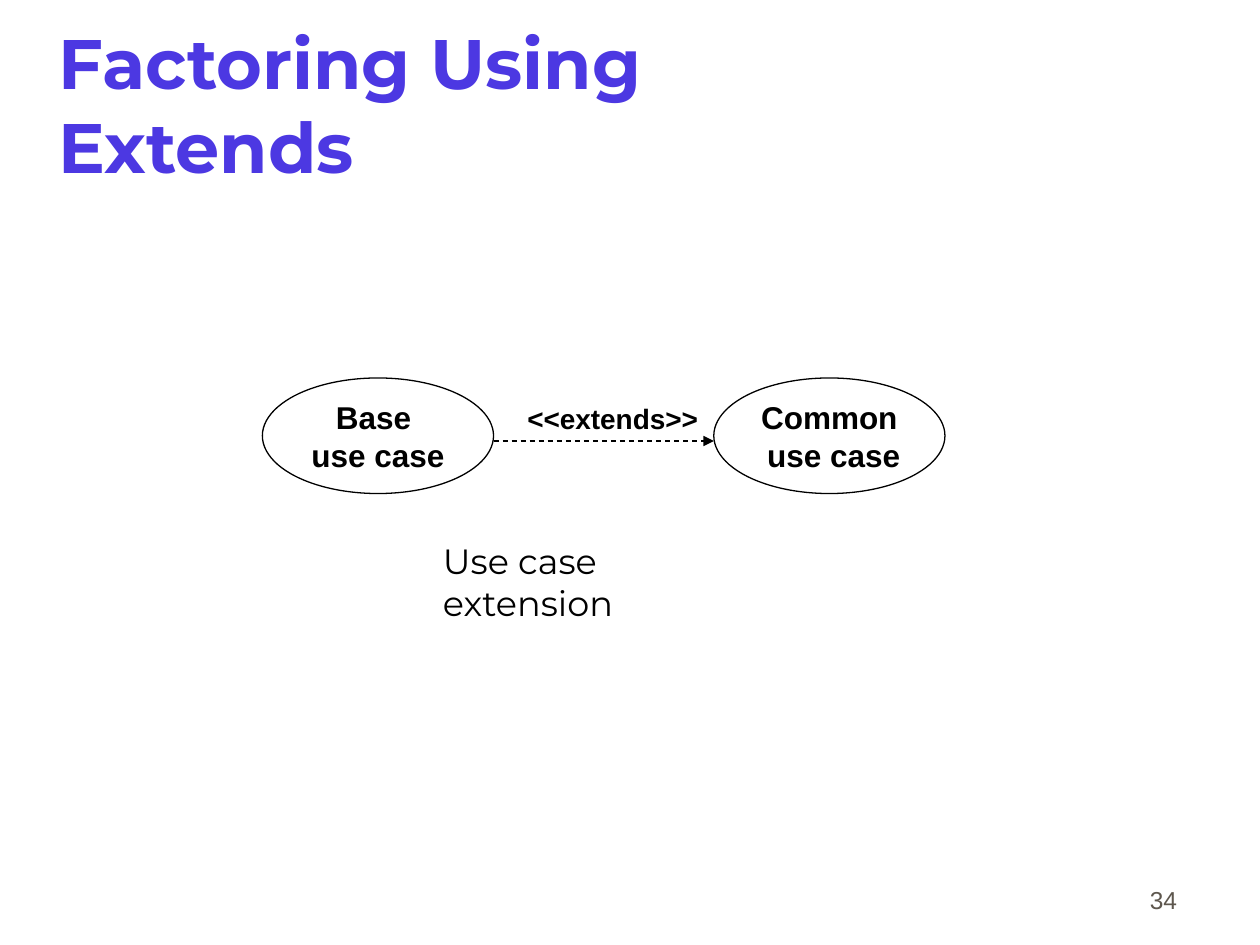
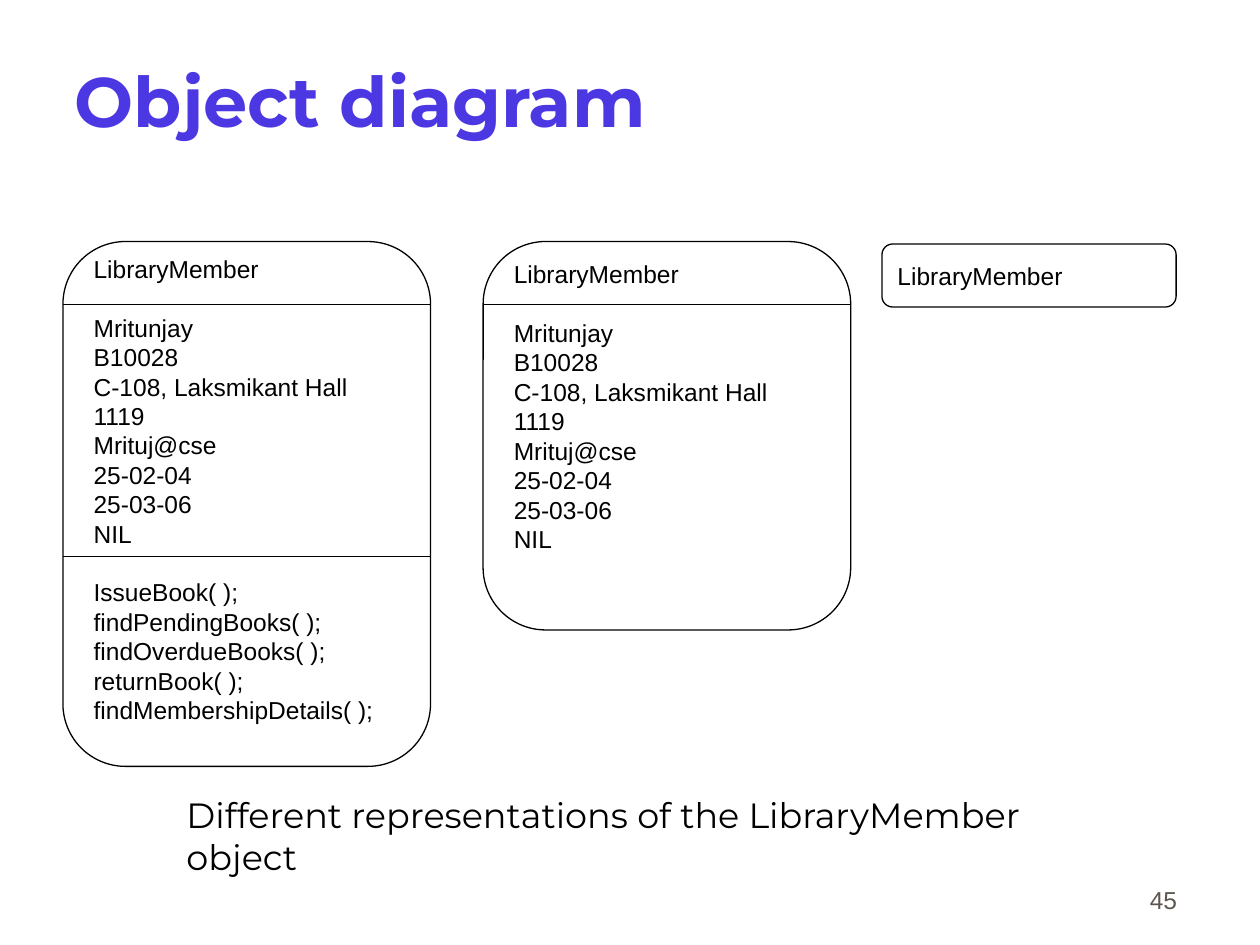
from lxml import etree
from pptx import Presentation
from pptx.dml.color import RGBColor
from pptx.enum.dml import MSO_LINE
from pptx.enum.shapes import MSO_CONNECTOR, MSO_SHAPE
from pptx.enum.text import MSO_ANCHOR as ANCHOR, PP_ALIGN as ALIGN
from pptx.oxml.ns import qn
from pptx.util import Cm, Pt

COLORS = {"title": "4C38E2", "ink": "000000", "number": "5E574E"}
LEADING = 1.2  # line pitch as a multiple of the font size
INSET = 0.25

# Use case slide
ELLIPSES = [(5.29, ["Base ", "use case"]), (14.39, ["Common", " use case"])]
ELLIPSE_TOP, ELLIPSE_W, ELLIPSE_H = 7.62, 4.66, 2.33
ARROW_Y = 8.89

# Object slide
NAME = ["LibraryMember"]
ATTRIBUTES = ["Mritunjay", "B10028", "C-108, Laksmikant Hall", "1119",
              "Mrituj@cse", "25-02-04", "25-03-06", "NIL"]
METHODS = ["IssueBook( );", "findPendingBooks( );", "findOverdueBooks( );",
           "returnBook( );", "findMembershipDetails( );"]
CARD_TOP, CARD_W, CARD_GAP = 4.87, 7.41, 1.06
CARD_LEFT, CARD_SIZE = 1.27, 14
# sections, height, divider offsets, lines left free at the bottom
CARDS = [
    ([NAME, ATTRIBUTES, METHODS], 10.58, [1.27, 6.35], 1),
    ([NAME, ATTRIBUTES], 7.83, [1.27], 2),
]


def color(name):
    return RGBColor.from_string(COLORS[name])


def write(shape, sections, size, font="Arial", ink="ink", bold=False,
          align=ALIGN.LEFT, anchor=ANCHOR.TOP, wrap=True, side=INSET, free_lines=0):
    """Fill a shape with sections of lines, parted by one line of space."""
    tf = shape.text_frame
    tf.word_wrap = wrap
    tf.vertical_anchor = anchor
    pitch = Pt(size * LEADING)
    tf.margin_left = tf.margin_right = Cm(side)
    tf.margin_top = Cm(0.13)
    tf.margin_bottom = Cm(0.13) + free_lines * pitch
    lines = [(text, i > 0 and j == 0) for i, section in enumerate(sections)
             for j, text in enumerate(section)]
    for i, (text, opens_section) in enumerate(lines):
        p = tf.paragraphs[0] if i == 0 else tf.add_paragraph()
        p.text = text
        p.alignment = align
        p.line_spacing = pitch
        if opens_section:
            p.space_before = pitch
        p.font.name = font
        p.font.size = Pt(size)
        p.font.bold = bold
        p.font.color.rgb = color(ink)


def add_text(s, box, text, size, **style):
    write(s.shapes.add_textbox(*map(Cm, box)), [[text]], size, **style)


def add_outline(s, kind, box, sections, size, corner=None, **style):
    sp = s.shapes.add_shape(kind, *map(Cm, box))
    sp.shadow.inherit = False
    sp.fill.background()
    sp.line.color.rgb = color("ink")
    sp.line.width = Pt(0.75)
    if corner is not None:
        sp.adjustments[0] = corner
    write(sp, sections, size, anchor=ANCHOR.MIDDLE, **style)


def add_rule(s, left, right, y, arrow=False):
    line = s.shapes.add_connector(MSO_CONNECTOR.STRAIGHT, Cm(left), Cm(y), Cm(right), Cm(y))
    line.line.color.rgb = color("ink")
    line.line.width = Pt(0.75)
    if arrow:
        line.line.dash_style = MSO_LINE.DASH
        etree.SubElement(line.line._get_or_add_ln(), qn("a:tailEnd"), type="triangle")
    etree.SubElement(line._element.spPr, qn("a:effectLst"))


def add_slide(prs, title, title_left, title_top, number):
    s = prs.slides.add_slide(prs.slide_layouts[6])
    add_text(s, (18.7, 17.3, 5.28, 1.27), number, 14, ink="number",
             align=ALIGN.RIGHT, anchor=ANCHOR.BOTTOM)
    add_text(s, (title_left, title_top, 21.59, 3.18), title, 40, font="Montserrat",
             ink="title", bold=True, anchor=ANCHOR.MIDDLE, side=0.05)
    return s


def add_caption(s, left, top, width, text):
    add_text(s, (left, top, width, 1.12), text, 20, font="Montserrat")


def build_use_case_slide(prs):
    s = add_slide(prs, "Factoring Using\vExtends", 1.13, 0.5, "34")
    for left, lines in ELLIPSES:
        add_outline(s, MSO_SHAPE.OVAL, (left, ELLIPSE_TOP, ELLIPSE_W, ELLIPSE_H),
                    [lines], 18, bold=True, align=ALIGN.CENTER, wrap=False)
    add_rule(s, ELLIPSES[0][0] + ELLIPSE_W, ELLIPSES[1][0], ARROW_Y, arrow=True)
    add_text(s, (10.58, 7.97, 3.75, 0.94), "<<extends>>", 16, bold=True, side=0.05)
    add_caption(s, 8.68, 10.74, 6.86, "Use case extension")


def build_object_slide(prs):
    s = add_slide(prs, "Object diagram", 1.46, 0.42, "45")
    add_caption(s, 3.51, 15.86, 18.62, "Different representations of the LibraryMember object")
    for i, (sections, height, dividers, free_lines) in enumerate(CARDS):
        left = CARD_LEFT + i * (CARD_W + CARD_GAP)
        add_outline(s, MSO_SHAPE.ROUNDED_RECTANGLE, (left, CARD_TOP, CARD_W, height),
                    sections, CARD_SIZE, corner=0.17, free_lines=free_lines)
        for offset in dividers:
            add_rule(s, left, left + CARD_W, CARD_TOP + offset)
    add_outline(s, MSO_SHAPE.ROUNDED_RECTANGLE, (17.78, 4.92, 5.93, 1.27),
                [NAME], CARD_SIZE, corner=0.17)


def main():
    prs = Presentation()
    prs.slide_width, prs.slide_height = Cm(25.4), Cm(19.05)
    build_use_case_slide(prs)
    build_object_slide(prs)
    prs.save("out.pptx")


if __name__ == "__main__":
    main()
